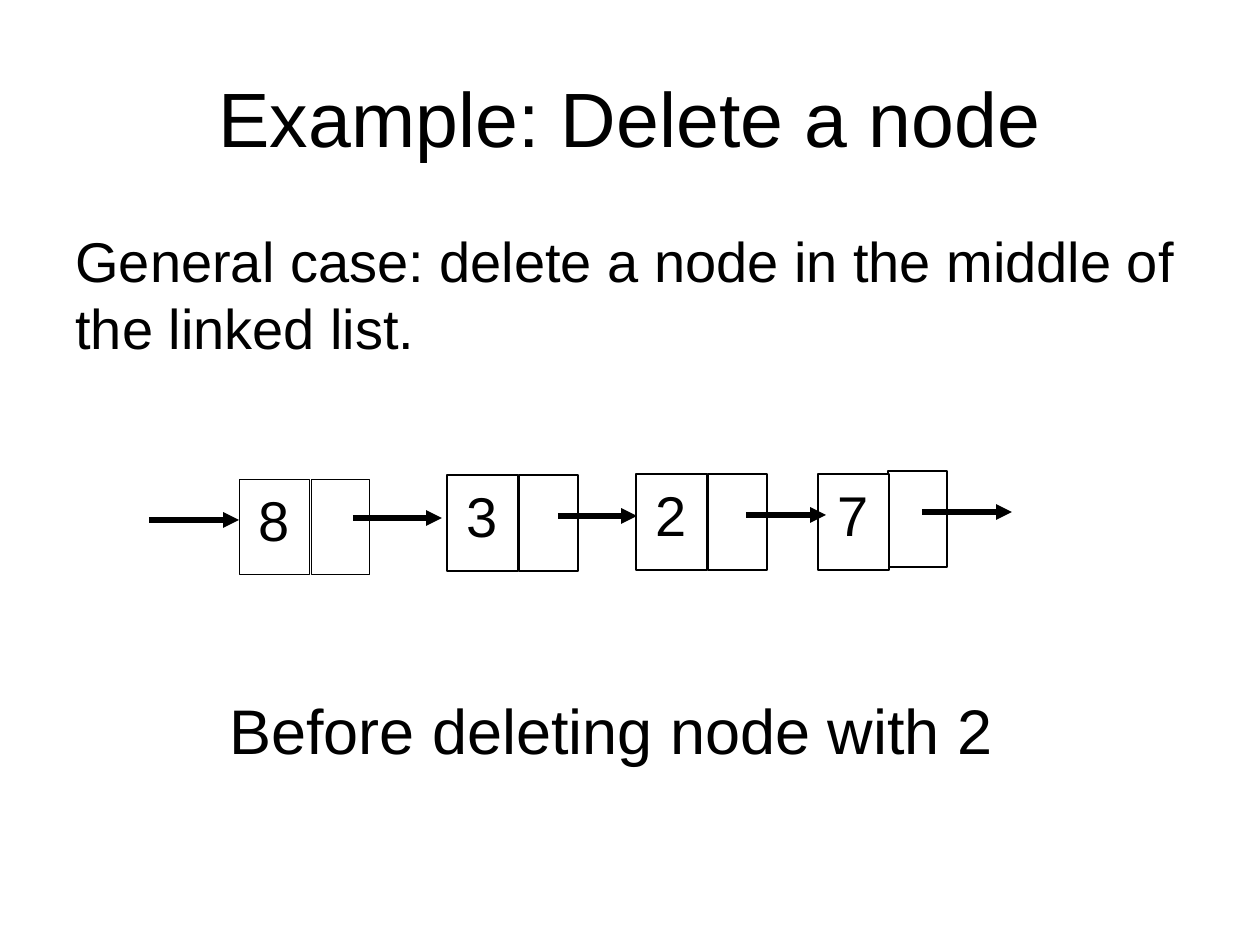
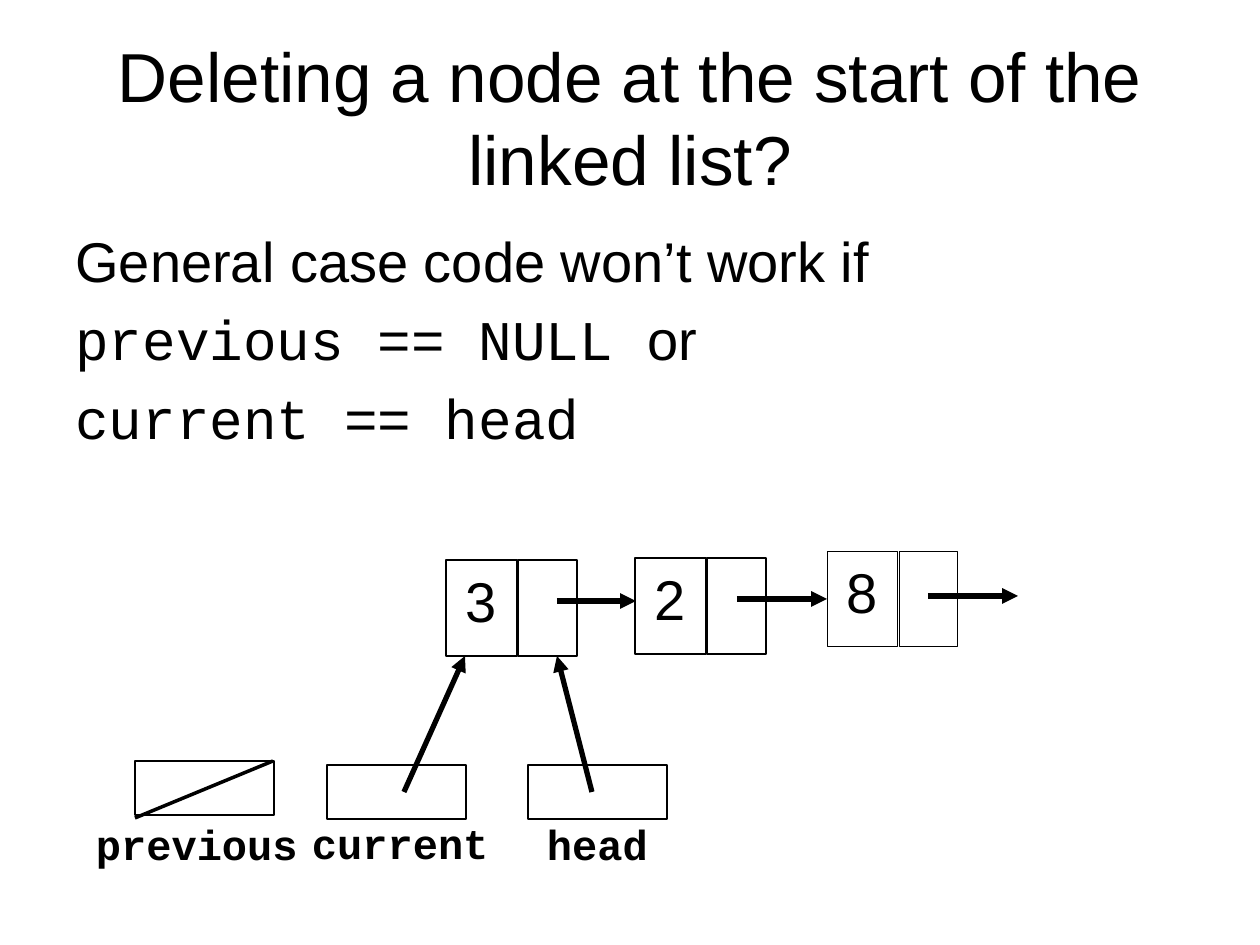
import pptx
import pptx.util
import pptx.dml.color
import pptx.enum.shapes
import pptx.enum.text
import pptx.oxml.ns
import lxml.etree

PX = 914400 // 126
BLACK, WHITE = "000000", "FFFFFF"
SANS, MONO = "Arial", "Courier New"
ALIGN = pptx.enum.text.PP_ALIGN
ANCHOR = pptx.enum.text.MSO_ANCHOR


def emu(*lengths):
    """Turn pixel lengths into EMU."""
    return [pptx.util.Emu(n * PX) for n in lengths]


def color(code):
    """Turn a hex string into a colour."""
    return pptx.dml.color.RGBColor.from_string(code)


def write(shape, paragraphs, size=32, font=SANS, bold=False, align=ALIGN.LEFT,
          anchor=ANCHOR.TOP, before=0, inset=None, wrap=True):
    """Fill a shape with paragraphs, each a string or a list of (text, font)."""
    tf = shape.text_frame
    tf.word_wrap = wrap
    tf.vertical_anchor = anchor
    if inset is not None:
        tf.margin_left = tf.margin_right = tf.margin_top = tf.margin_bottom = inset
    for i, runs in enumerate(paragraphs):
        p = tf.paragraphs[0] if i == 0 else tf.add_paragraph()
        p.alignment = align
        p.space_before = pptx.util.Pt(before)
        for text, face in [(runs, font)] if isinstance(runs, str) else runs:
            r = p.add_run()
            r.text = text
            r.font.name = face
            r.font.size = pptx.util.Pt(size)
            r.font.bold = bold
            r.font.color.rgb = color(BLACK)


class Deck:
    """Holds the presentation, its style and the current slide."""

    CELL_H, VALUE_W, LINK_W, LINK_DX = 96, 71, 59, 72
    POINTER_W, POINTER_H = 139, 54

    def __init__(self):
        """Start a 10 by 7.5 inch presentation."""
        self.prs = pptx.Presentation()
        self.prs.slide_width, self.prs.slide_height = emu(1260, 945)

    def slide(self, title, body, title_size=44):
        """Add a slide with a centred title and body paragraphs."""
        self.s = self.prs.slides.add_slide(self.prs.slide_layouts[6])
        self.text(63, 38, 1134, 157, [title], size=title_size,
                  align=ALIGN.CENTER, anchor=ANCHOR.MIDDLE)
        self.text(63, 220, 1134, 624, body, before=6.4)

    def text(self, x, y, w, h, paragraphs, **style):
        """Add a text box."""
        write(self.s.shapes.add_textbox(*emu(x, y, w, h)), paragraphs, **style)

    def box(self, x, y, w, h, weight=0.75):
        """Add a white box with a thin black outline."""
        sp = self.s.shapes.add_shape(
            pptx.enum.shapes.MSO_SHAPE.RECTANGLE, *emu(x, y, w, h))
        sp.shadow.inherit = False
        sp.fill.solid()
        sp.fill.fore_color.rgb = color(WHITE)
        sp.line.color.rgb = color(BLACK)
        sp.line.width = pptx.util.Pt(weight)
        return sp

    def node(self, value, x, y, dx=LINK_DX, dy=0, weight=0.75):
        """Add a list node: a link cell beside a value cell."""
        self.box(x + dx, y + dy, self.LINK_W, self.CELL_H, weight)
        cell = self.box(x, y, self.VALUE_W, self.CELL_H, weight)
        write(cell, [value], align=ALIGN.CENTER)

    def line(self, x1, y1, x2, y2, weight=3, arrow=True):
        """Add a straight line, by default with an arrowhead at its end."""
        c = self.s.shapes.add_connector(
            pptx.enum.shapes.MSO_CONNECTOR.STRAIGHT, *emu(x1, y1, x2, y2))
        c.line.color.rgb = color(BLACK)
        c.line.width = pptx.util.Pt(weight)
        if arrow:
            lxml.etree.SubElement(c.line._get_or_add_ln(),
                                  pptx.oxml.ns.qn("a:tailEnd"), type="triangle")
        lxml.etree.SubElement(c._element.spPr, pptx.oxml.ns.qn("a:effectLst"))

    def pointer(self, name, x, y, label_x, label_y, label_w):
        """Add a pointer variable: a box with its name below."""
        self.box(x, y, self.POINTER_W, self.POINTER_H)
        self.text(label_x, label_y, label_w, 50, [name], size=24, font=MONO,
                  bold=True, inset=0)


deck = Deck()

deck.slide("Example: Delete a node",
           ["General case: delete a node in the middle of the linked list."])
deck.node("7", 818, 474, dx=70, dy=-3)
deck.node("3", 447, 475)
deck.node("8", 239, 479, weight=0.5)
deck.node("2", 636, 474)
for x, y, length in [(149, 520, 90), (353, 518, 89), (558, 516, 79),
                     (746, 515, 80), (922, 512, 90)]:
    deck.line(x, y, x + length, y)
deck.text(217, 685, 796, 89, ["Before deleting node with 2"], size=36, wrap=False)

deck.slide("Deleting a node at the start of the linked list?",
           ["General case code won\u2019t work if",
            [("previous == NULL ", MONO), ("or ", SANS)],
            [("current == head", MONO)]], title_size=39.6)
deck.node("3", 446, 560)
deck.node("8", 827, 551, weight=0.5)
deck.node("2", 635, 558)
for x, y, length in [(557, 601, 79), (737, 599, 90), (928, 596, 90)]:
    deck.line(x, y, x + length, y)
deck.pointer("previous", 135, 761, 96, 819, 215)
deck.pointer("current", 327, 765, 312, 818, 181)
deck.pointer("head", 528, 765, 547, 819, 115)
deck.line(273, 761, 135, 818, weight=2, arrow=False)
deck.line(404, 792, 465, 656)
deck.line(592, 792, 557, 656)

deck.prs.save("out.pptx")
